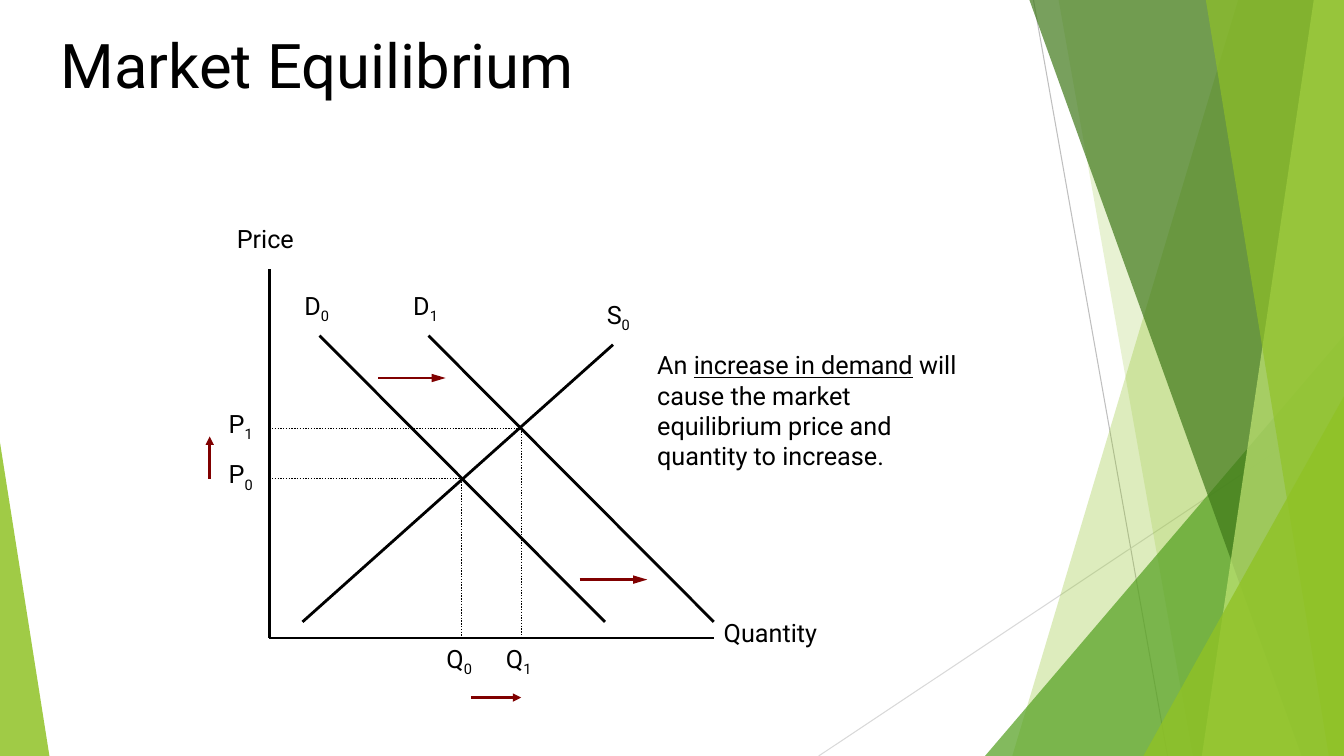
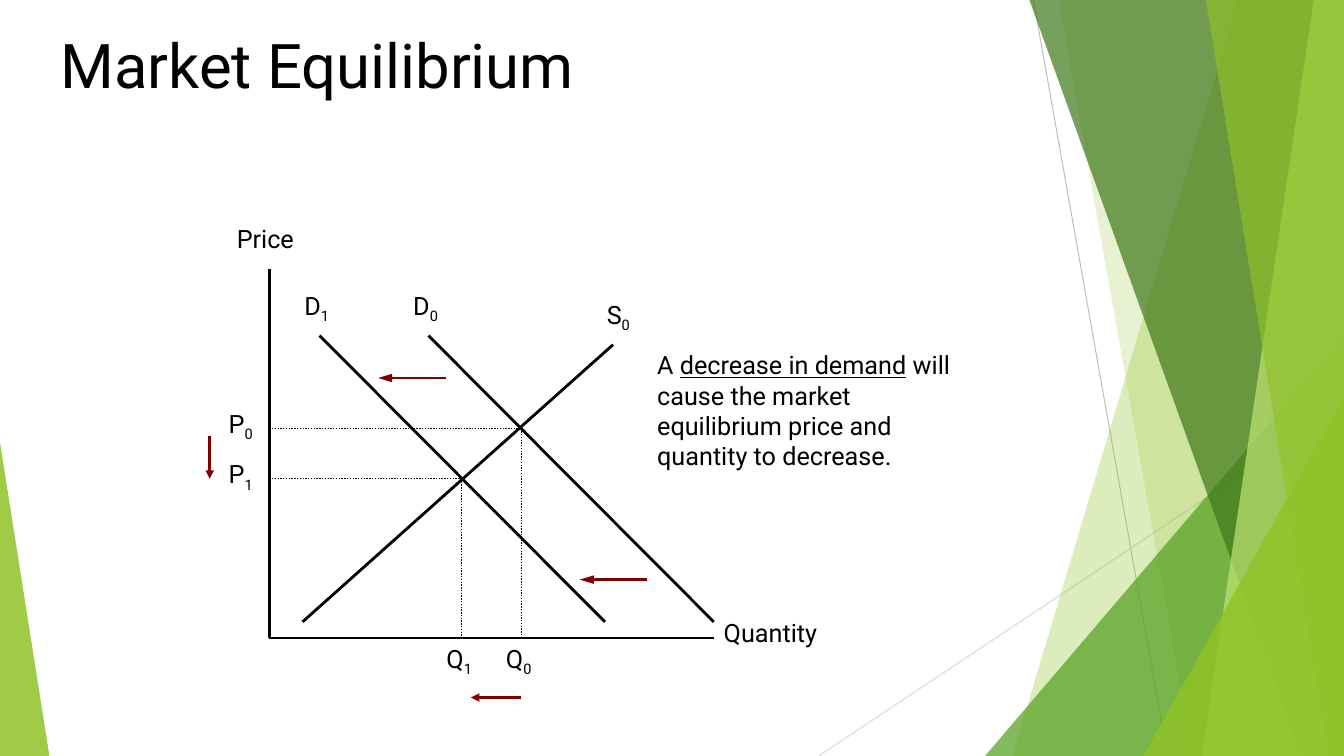
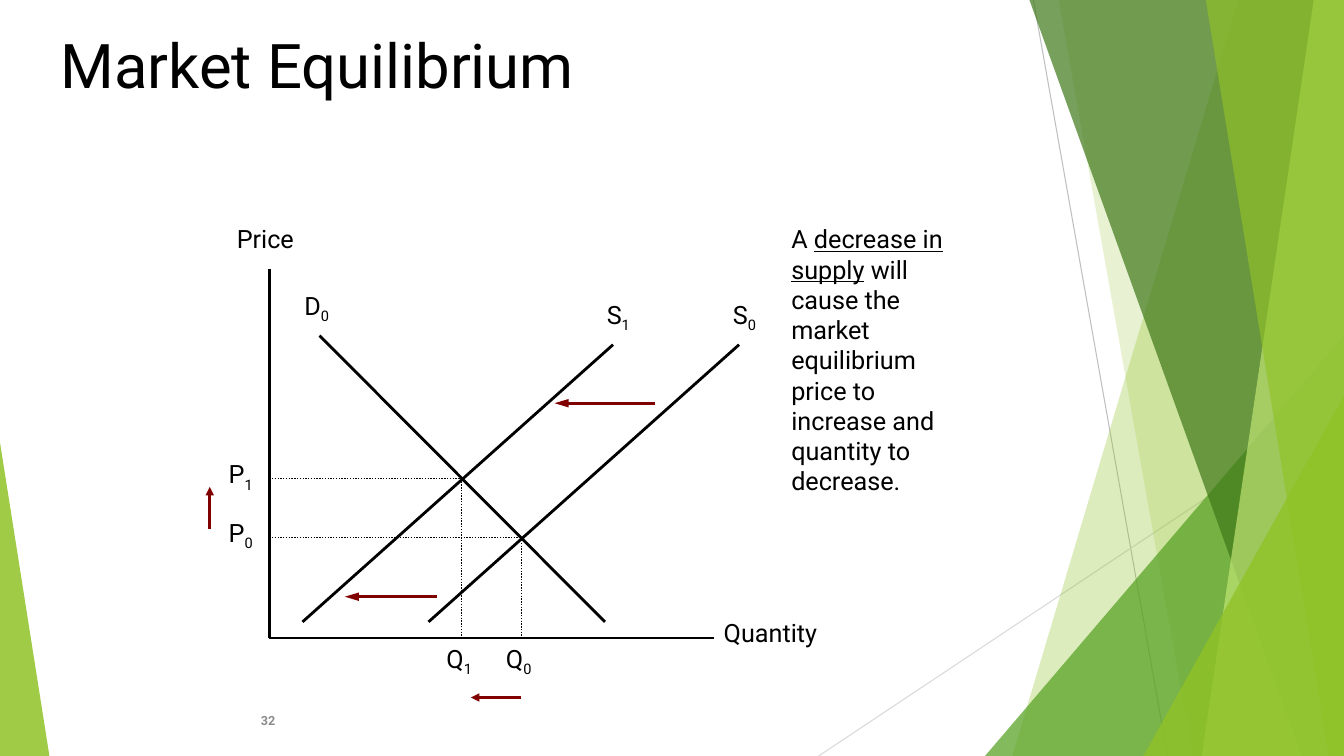
import pptx
import pptx.util
import pptx.dml.color
import pptx.enum.dml
import pptx.enum.shapes
import pptx.enum.text
import pptx.oxml.ns
import lxml.etree

Inches = pptx.util.Inches
Shape = pptx.enum.shapes.MSO_SHAPE
Align = pptx.enum.text.PP_ALIGN
Anchor = pptx.enum.text.MSO_ANCHOR
Fit = pptx.enum.text.MSO_AUTO_SIZE
qn = pptx.oxml.ns.qn

WIDE, HIGH = 13.33, 7.5
FONT = "Roboto"
BLACK, RED, GREY = "000000", "800000", "8C8C8C"
LIME, GREEN, DARK, PALE = "90C226", "54A021", "3F7819", "C0E474"

# Bands reach the right edge: top x, foot x, colour, opacity.
# Wedges stand on the bottom edge: left, width, height, peak, colour, opacity.
VEILS = [
    (12.28, 10.04, LIME, 30),
    (10.5, 11.83, LIME, 20),
    (9.77, 3.56, 4.17, 1, GREEN, 72),
    (10.21, 12.91, DARK, 70),
    (13.03, 11.92, PALE, 70),
    (11.96, 13.18, LIME, 65),
    (11.34, 1.99, 3.57, 1, LIME, 80),
    (0, 0.49, 3.11, 0, LIME, 85),
]

# Lines: x1, y1, x2, y2, colour, width, dash, length of arrowhead.
RAYS = [
    (10.25, 0, 11.58, HIGH, "BFBFBF", 0.75, False, None),
    (WIDE, 4.03, 8.12, HIGH, "D9D9D9", 0.75, False, None),
]
LEFT, BASE = 2.67, 6.33
AXES = [
    (LEFT, 2.67, LEFT, BASE, BLACK, 2, False, None),
    (7.08, BASE, LEFT, BASE, BLACK, 2, False, None),
]

# Curves: letter, number, x at the left end.
# Points: number, x, y. Moves and steps: x1, y1, x2, y2.
SLIDES = [
    dict(
        curves=[("D", 0, 3.17), ("D", 1, 4.25), ("S", 0, 3)],
        points=[(0, 4.58, 4.75), (1, 5.17, 4.25)],
        moves=[(3.75, 3.75, 4.42, 3.75), (5.75, 5.75, 6.42, 5.75)],
        steps=[(2.08, 4.75, 2.08, 4.33), (4.67, 6.92, 5.17, 6.92)],
        note="An |increase in demand| will cause the market equilibrium "
             "price and quantity to increase.",
        box=(6.42, 3.42, 3.33, 1.7), page=None),
    dict(
        curves=[("D", 1, 3.17), ("D", 0, 4.25), ("S", 0, 3)],
        points=[(1, 4.58, 4.75), (0, 5.17, 4.25)],
        moves=[(4.42, 3.75, 3.75, 3.75), (6.42, 5.75, 5.75, 5.75)],
        steps=[(2.08, 4.33, 2.08, 4.75), (5.17, 6.92, 4.67, 6.92)],
        note="A |decrease in demand| will cause the market equilibrium "
             "price and quantity to decrease.",
        box=(6.42, 3.42, 3.33, 1.7), page=None),
    dict(
        curves=[("D", 0, 3.17), ("S", 1, 3), ("S", 0, 4.25)],
        points=[(1, 4.58, 4.75), (0, 5.17, 5.33)],
        moves=[(6.5, 4, 5.5, 4), (4.33, 5.92, 3.42, 5.92)],
        steps=[(2.08, 5.25, 2.08, 4.83), (5.17, 6.92, 4.67, 6.92)],
        note="A |decrease in supply| will cause the market equilibrium "
             "price to increase and quantity to decrease.",
        box=(7.75, 2.17, 2, 3.69), page="32"),
]


def paint(fill, tone, alpha=100):
    """Set a solid colour on the fill of a shape, line or font."""
    fill.solid()
    fill.fore_color.rgb = pptx.dml.color.RGBColor.from_string(tone)
    if alpha < 100:
        clr = fill._xPr.find(qn("a:solidFill"))[0]
        lxml.etree.SubElement(clr, qn("a:alpha"), val=str(alpha * 1000))


def write(slide, text, box, size=18, tone=BLACK, bold=None, wrap=False,
          fit=Fit.SHAPE_TO_FIT_TEXT, under=False, align=None,
          anchor=Anchor.TOP, space=None):
    """Add a text box; parts between bars are underlined or subscript."""
    frame = slide.shapes.add_textbox(*map(Inches, box)).text_frame
    frame.word_wrap, frame.auto_size = wrap, fit
    frame.vertical_anchor = anchor
    para = frame.paragraphs[0]
    para.alignment, para.line_spacing = align, space
    for i, part in enumerate(text.split("|")):
        if not part:
            continue
        run = para.add_run()
        run.text = part
        run.font.name, run.font.size = FONT, pptx.util.Pt(size)
        run.font.bold = bold
        paint(run.font.fill, tone)
        if i % 2 and under:
            run.font.underline = True
        elif i % 2:
            run._r.get_or_add_rPr().set("baseline", "-25000")


prs = pptx.Presentation()
prs.slide_width, prs.slide_height = Inches(WIDE), Inches(HIGH)

for data in SLIDES:
    slide = prs.slides.add_slide(prs.slide_layouts[6])
    lines = RAYS + AXES
    tags = []
    for name, num, x in data["curves"]:
        if name == "D":
            ends, spot = (x, 3.33, x + 2.83, 6.17), (x - 0.25, 2.83, 0.55, 0.5)
        else:
            ends, spot = (x, 6.17, x + 3.08, 3.42), (x + 2.92, 2.92, 0.5, 0.5)
        lines = lines + [(*ends, BLACK, 2, False, None)]
        tags.append((f"{name}|{num}", spot))
    for num, x, y in data["points"]:
        for ends in [(LEFT, y, x, y), (x, y, x, BASE)]:
            lines = lines + [(*ends, BLACK, 1, True, None)]
        tags.append((f"P|{num}", (2.17, y - 0.25, 0.5, 0.5)))
        tags.append((f"Q|{num}", (x - 0.25, BASE, 0.55, 0.5)))
    for key, size in [("moves", "lg"), ("steps", "med")]:
        lines = lines + [(*ends, RED, 2, False, size) for ends in data[key]]

    for x1, y1, x2, y2, tone, width, dots, head in lines:
        line = slide.shapes.add_connector(
            pptx.enum.shapes.MSO_CONNECTOR.STRAIGHT,
            *map(Inches, (x1, y1, x2, y2)))
        paint(line.line.fill, tone)
        line.line.width = pptx.util.Pt(width)
        if dots:
            line.line.dash_style = pptx.enum.dml.MSO_LINE.ROUND_DOT
        if head:
            lxml.etree.SubElement(line.line._get_or_add_ln(), qn("a:tailEnd"),
                                  type="triangle", w="med", len=head)
        lxml.etree.SubElement(line._element.spPr, qn("a:effectLst"))

    for *form, tone, alpha in VEILS:
        if len(form) == 2:
            top, foot = form
            pen = slide.shapes.build_freeform(Inches(top), 0)
            pen.add_line_segments([(Inches(x), Inches(y)) for x, y in
                                   [(WIDE, 0), (WIDE, HIGH), (foot, HIGH)]])
            veil = pen.convert_to_shape()
        else:
            left, width, height, peak = form
            veil = slide.shapes.add_shape(
                Shape.ISOSCELES_TRIANGLE,
                *map(Inches, (left, HIGH - height, width, height)))
            veil.adjustments[0] = peak
        paint(veil.fill, tone, alpha)
        veil.line.fill.background()
        veil.shadow.inherit = False

    write(slide, "Market Equilibrium", (0.5, 0.3, 9, 1.25), size=44,
          wrap=True, fit=Fit.NONE, space=0.9)
    write(slide, "Quantity", (7.08, 6.08, 1.37, 0.5))
    write(slide, "Price", (2.25, 2.17, 0.89, 0.5))
    for text, spot in tags:
        write(slide, text, spot)
    write(slide, data["note"], data["box"], wrap=True, under=True)
    if data["page"]:
        write(slide, data["page"], (0.5, 6.95, 2.33, 0.4), size=9, tone=GREY,
              bold=True, wrap=True, fit=Fit.NONE, align=Align.RIGHT,
              anchor=Anchor.MIDDLE)

prs.save("out.pptx")
